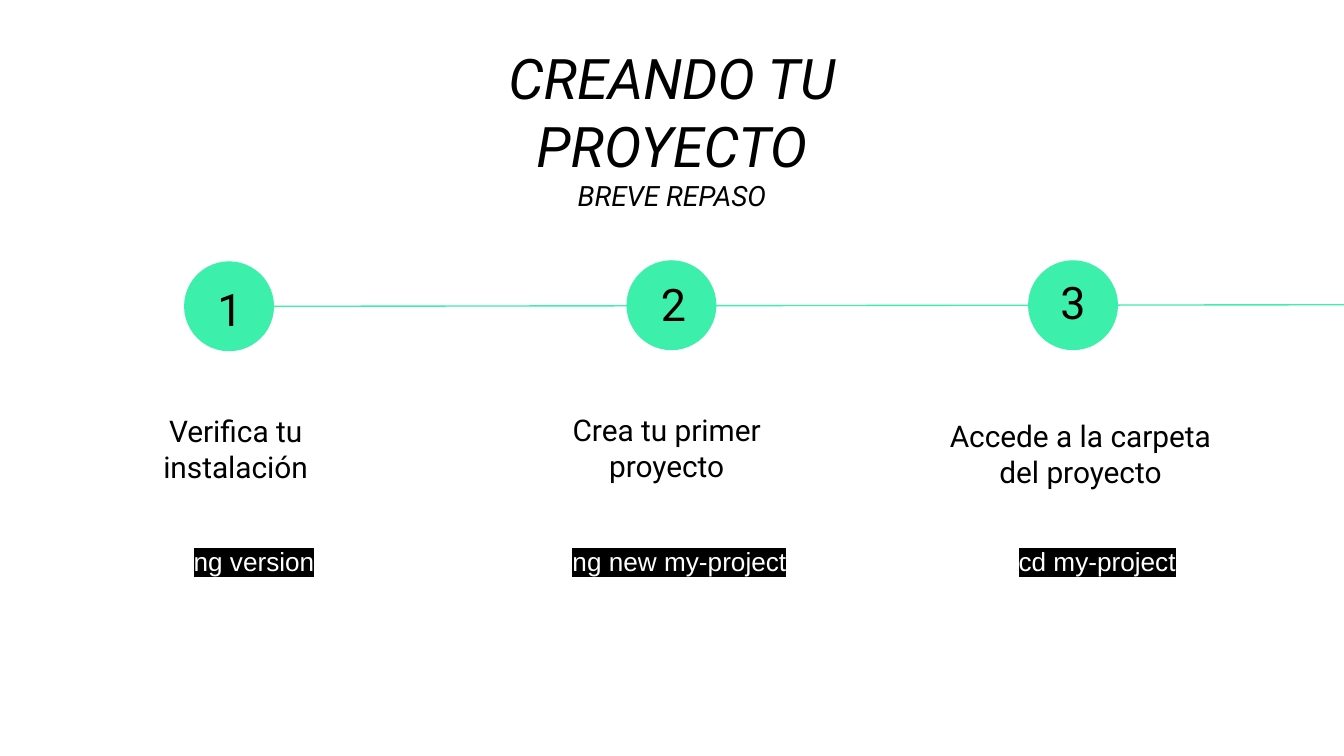
from lxml import etree
from pptx import Presentation
from pptx.dml.color import RGBColor
from pptx.enum.shapes import MSO_CONNECTOR, MSO_SHAPE
from pptx.enum.text import MSO_ANCHOR, MSO_AUTO_SIZE, PP_ALIGN
from pptx.oxml.ns import qn
from pptx.util import Cm, Pt

BLACK = RGBColor(0x00, 0x00, 0x00)
WHITE = RGBColor(0xFF, 0xFF, 0xFF)
GREEN = RGBColor(0x3C, 0xEF, 0xAB)
LEFT, CENTER = PP_ALIGN.LEFT, PP_ALIGN.CENTER
TOP, MIDDLE = MSO_ANCHOR.TOP, MSO_ANCHOR.MIDDLE
STRAIGHT = MSO_CONNECTOR.STRAIGHT
OVAL = MSO_SHAPE.OVAL

TITLE_ONLY = 5
INSET = 0.25
CIRCLE_SIZE = 1.7

# Each part starts with its place in cm: (left, top) or (left, top, width, height)
STEPS = [
    {"circle": (3.48, 4.94),
     "number": ("1", (3.86, 5.08, 0.76, 1.02)),
     "label": ("Verifica tu instalación", (1.7, 7, 5.51, 2.97)),
     "command": ("ng version", (2.01, 10.06, 5.18, 1.12), 1.65)},
    {"circle": (11.84, 4.92),
     "number": ("2", (12.24, 4.98, 0.76, 1.02)),
     "label": ("Crea tu primer proyecto", (9.73, 6.98, 5.74, 2.97)),
     "command": ("ng new my-project", (9.17, 10.06, 7.8, 1.12), 1.65)},
    {"circle": (19.43, 4.92),
     "number": ("3", (19.79, 4.95, 0.76, 0.86)),
     "label": ("Accede a la carpeta del proyecto", (17.32, 7.09, 6.2, 2.97)),
     "command": ("cd my-project", (17.73, 10.06, 7.6, 1.12), 1.52)},
]


def highlight(run, color):
    """Put a background colour behind a run that already has its font colour."""
    mark = etree.Element(qn("a:highlight"))
    etree.SubElement(mark, qn("a:srgbClr"), val=str(color))
    run.font._element.find(qn("a:solidFill")).addnext(mark)


def write(paragraph, text, size, font="Roboto", color=BLACK, italic=None,
          align=LEFT, back=None):
    paragraph.alignment = align
    run = paragraph.add_run()
    run.text = text
    run.font.size = Pt(size)
    run.font.name = font
    run.font.italic = italic
    run.font.color.rgb = color
    if back is not None:
        highlight(run, back)


def set_frame(frame, anchor=TOP, left_inset=INSET):
    frame.word_wrap = True
    frame.auto_size = MSO_AUTO_SIZE.NONE
    frame.vertical_anchor = anchor
    frame.margin_left = Cm(left_inset)
    frame.margin_right = frame.margin_top = frame.margin_bottom = Cm(INSET)


def add_text(slide, text, place, anchor=TOP, left_inset=INSET, **text_format):
    frame = slide.shapes.add_textbox(*map(Cm, place)).text_frame
    set_frame(frame, anchor, left_inset)
    write(frame.paragraphs[0], text, **text_format)


def add_title(slide):
    title = slide.shapes.title
    title.left, title.top, title.width, title.height = map(Cm, (7.19, 0.58, 11.02, 1.57))
    frame = title.text_frame
    set_frame(frame)
    write(frame.paragraphs[0], "CREANDO TU PROYECTO", size=30, italic=True, align=CENTER)
    write(frame.add_paragraph(), "BREVE REPASO", size=15, italic=True, align=CENTER)


def add_timeline(slide):
    timeline = slide.shapes.add_connector(STRAIGHT, *map(Cm, (5.18, 5.79, 25.4, 5.76)))
    timeline.line.color.rgb = GREEN
    timeline.line.width = Pt(0.75)
    etree.SubElement(timeline._element.spPr, qn("a:effectLst"))


def add_circle(slide, left, top):
    circle = slide.shapes.add_shape(
        OVAL, Cm(left), Cm(top), Cm(CIRCLE_SIZE), Cm(CIRCLE_SIZE))
    circle.shadow.inherit = False
    circle.fill.solid()
    circle.fill.fore_color.rgb = GREEN
    circle.line.fill.background()


def add_step(slide, step):
    add_circle(slide, *step["circle"])
    add_text(slide, *step["number"], size=24)
    add_text(slide, *step["label"], anchor=MIDDLE, size=16, align=CENTER)
    command, place, indent = step["command"]
    add_text(slide, command, place, left_inset=indent, size=14, font="Arial",
             color=WHITE, back=BLACK)


def main():
    presentation = Presentation()
    presentation.slide_width, presentation.slide_height = Cm(25.4), Cm(14.29)
    slide = presentation.slides.add_slide(presentation.slide_layouts[TITLE_ONLY])

    # Title and subtitle
    add_title(slide)

    # Line behind the numbered steps
    add_timeline(slide)
    for step in STEPS:
        add_step(slide, step)

    presentation.save("out.pptx")


if __name__ == "__main__":
    main()
